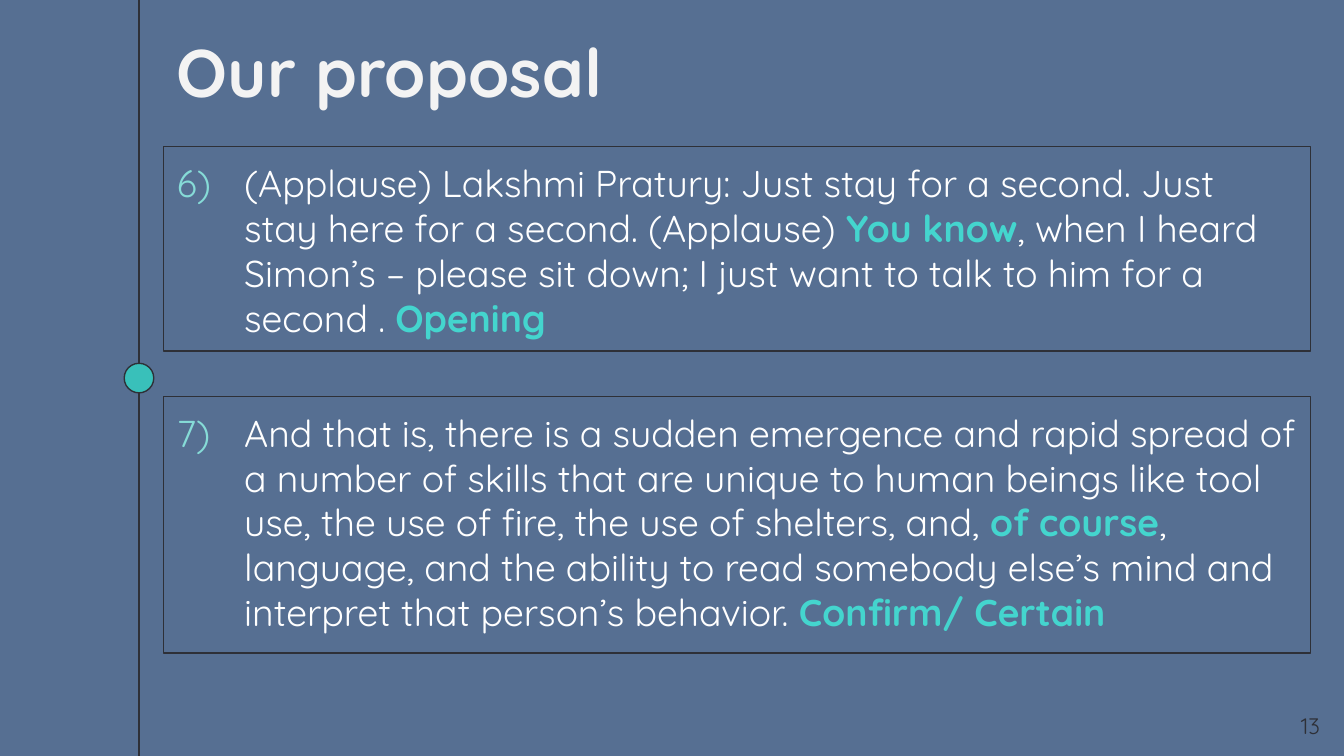
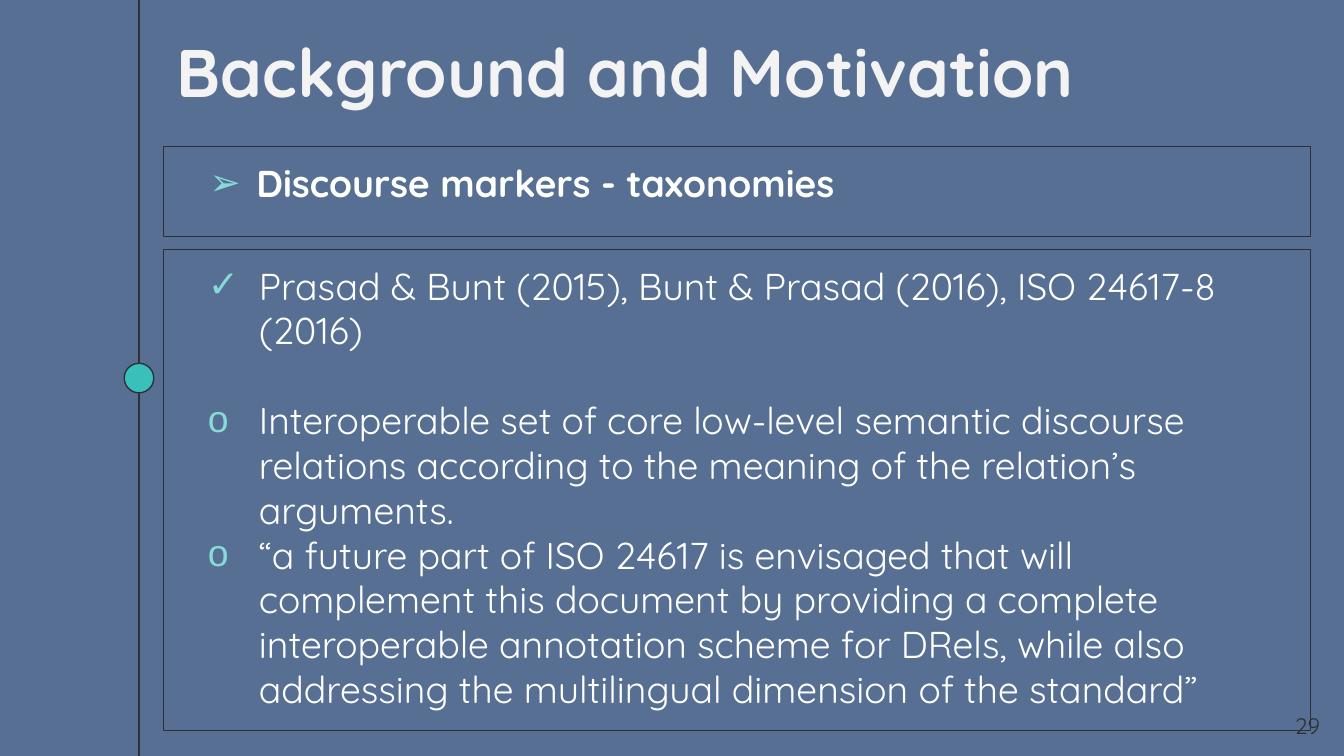
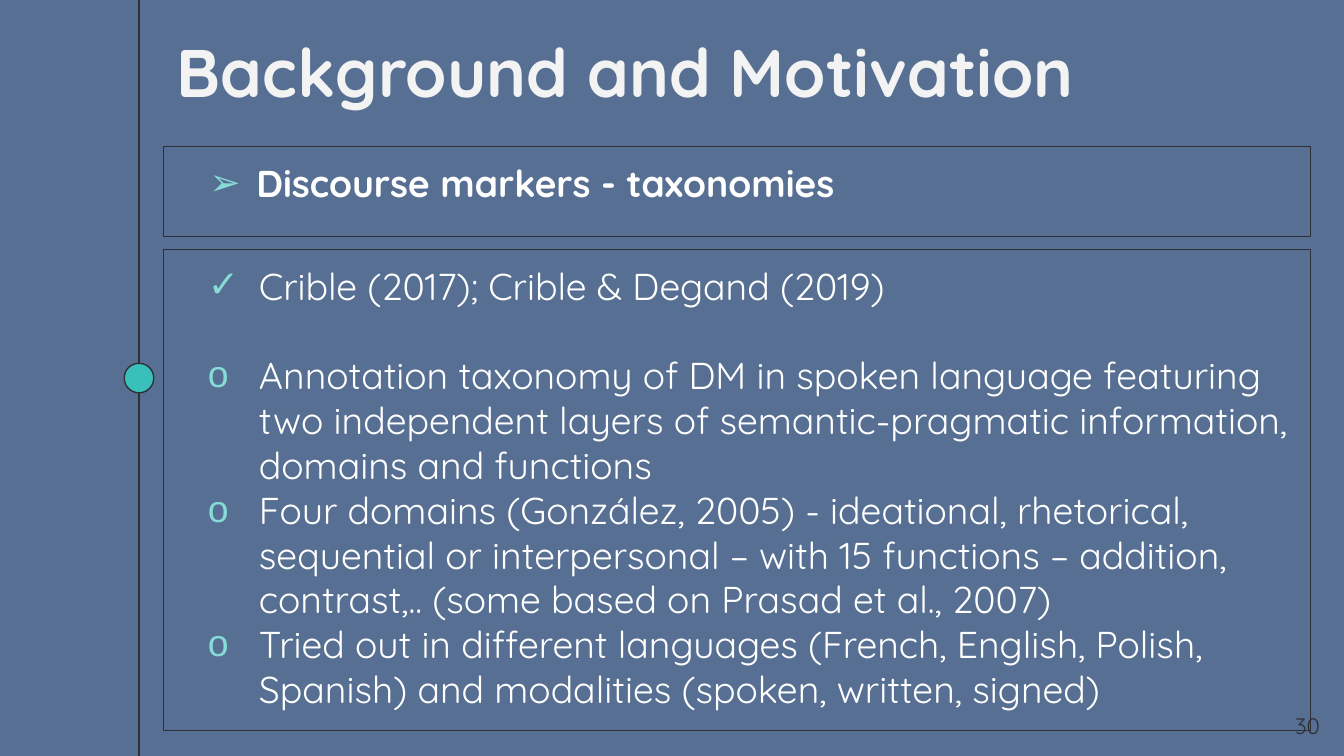
from dataclasses import dataclass
from lxml import etree
from pptx import Presentation
from pptx.dml.color import RGBColor
from pptx.enum.shapes import MSO_CONNECTOR, MSO_SHAPE
from pptx.enum.text import MSO_ANCHOR, MSO_AUTO_SIZE, PP_ALIGN
from pptx.oxml.ns import qn
from pptx.util import Inches, Pt

LINE, OVAL = MSO_CONNECTOR.STRAIGHT, MSO_SHAPE.OVAL
TOP, MIDDLE = MSO_ANCHOR.TOP, MSO_ANCHOR.MIDDLE
LEFT, RIGHT = PP_ALIGN.LEFT, PP_ALIGN.RIGHT
NOFIT = MSO_AUTO_SIZE.NONE

FONT = "Quicksand"
BACK, INK, DOT = "566F92", "2E3037", "39C0BA"
WHITE, PALE, MINT, AQUA = "FFFFFF", "F3F3F3", "86DBD7", "44D5CE"
COLS, ROWS = 100, 56.25
CELL = Inches(10) / COLS
EDGE = 12.17
TWO_LISTS = 3


@dataclass(frozen=True)
class Area:
    col: float
    row: float
    wide: float
    high: float

    def box(self) -> tuple:
        return tuple(round(n * CELL) for n in (self.col, self.row, self.wide, self.high))


@dataclass(frozen=True)
class Item:
    text: str
    mark: str | int
    hang: float = 3.8
    edge: float = 6.1
    level: int = 0
    bold: bool = False
    gap: int = 0


@dataclass(frozen=True)
class Panel:
    row: float
    high: float
    items: tuple


@dataclass(frozen=True)
class Page:
    title: str
    number: int
    panels: tuple


def tint(code: str) -> RGBColor:
    return RGBColor.from_string(code)


def style(para, size: int, code: str, bold: bool = False, align=LEFT) -> None:
    para.alignment = align
    font = para.font
    font.name, font.size, font.bold = FONT, Pt(size), bold
    font.color.rgb = tint(code)


def trim(shape) -> None:
    shape.line.color.rgb = tint(INK)
    shape.line.width = Pt(0.75)


def place(shape, area: Area, anchor=TOP):
    shape.left, shape.top, shape.width, shape.height = area.box()
    frame = shape.text_frame
    frame.word_wrap = True
    frame.auto_size = NOFIT
    frame.vertical_anchor = anchor
    frame.margin_left = frame.margin_right = Inches(0.1)
    frame.margin_top = frame.margin_bottom = Inches(0.1)
    return frame


def bullet(para, item: Item) -> None:
    props = para._p.get_or_add_pPr()
    props.set("marL", str(round(item.edge * CELL)))
    props.set("indent", str(round(-item.hang * CELL)))
    color = etree.SubElement(props, qn("a:buClr"))
    etree.SubElement(color, qn("a:srgbClr"), val=MINT)
    if isinstance(item.mark, int):
        etree.SubElement(props, qn("a:buAutoNum"), type="arabicParenR", startAt=str(item.mark))
    else:
        etree.SubElement(props, qn("a:buChar"), char=item.mark)


def write(para, item: Item) -> None:
    para.level = item.level
    bullet(para, item)
    para.space_before, para.space_after = Pt(0), Pt(item.gap)
    style(para, 20, WHITE, item.bold)
    for spot, part in enumerate(item.text.split("*")):
        if part:
            run = para.add_run()
            run.text = part
            if spot % 2:
                run.font.bold = True
                run.font.color.rgb = tint(AQUA)


def fill(shape, panel: Panel) -> None:
    frame = place(shape, Area(EDGE, panel.row, 85.33, panel.high))
    trim(shape)
    for spot, item in enumerate(panel.items):
        write(frame.add_paragraph() if spot else frame.paragraphs[0], item)


def rail(slide) -> None:
    mid = round(10.34 * CELL)
    spine = slide.shapes.add_connector(LINE, mid, 0, mid, round(ROWS * CELL))
    trim(spine)
    etree.SubElement(spine._element.spPr, qn("a:effectLst"))
    dot = slide.shapes.add_shape(OVAL, *Area(9.24, 27.03, 2.2, 2.2).box())
    dot.shadow.inherit = False
    dot.fill.solid()
    dot.fill.fore_color.rgb = tint(DOT)
    trim(dot)


def label(shape, area: Area, text: str, size: int, code: str,
          bold: bool = False, align=LEFT, anchor=TOP, lead: int = 0) -> None:
    para = place(shape, area, anchor).paragraphs[0]
    para.text = text
    para.space_before = Pt(lead)
    style(para, size, code, bold, align)


def draw(deck, page: Page) -> None:
    slide = deck.slides.add_slide(deck.slide_layouts[TWO_LISTS])
    rail(slide)
    label(slide.shapes.title, Area(EDGE, 1.9, 73, 6.7), page.title, 36, PALE,
          bold=True, anchor=MIDDLE, lead=6)
    for spot, panel in enumerate(page.panels, 1):
        fill(slide.placeholders[spot], panel)
    area = Area(93.2, 52, 6, 3.4)
    label(slide.shapes.add_textbox(*area.box()), area, str(page.number), 12, INK, align=RIGHT)


def quote(row: float, high: float, start: int, text: str) -> Panel:
    return Panel(row, high, (Item(text, start, 5, 5),))


def survey(number: int, source: str, *points: str) -> Page:
    topic = Item("Discourse markers - taxonomies", "➢", 3.5, 5.9, bold=True)
    notes = tuple(Item(point, "o", level=1) for point in points)
    return Page("Background and Motivation", number, (
        Panel(10.92, 6.7, (topic,)),
        Panel(18.55, 35.8, (Item(source, "✓", gap=24), *notes)),
    ))


PAGES = (
    Page("Our proposal", 13, (
        quote(10.92, 15.2, 6,
              "(Applause) Lakshmi Pratury: Just stay for a second. Just stay here for a second. "
              "(Applause) *You know*, when I heard Simon’s – please sit down; I just want to talk "
              "to him for a second . *Opening*"),
        quote(29.5, 19.08, 7,
              "And that is, there is a sudden emergence and rapid spread of a number of skills "
              "that are unique to human beings like tool use, the use of fire, the use of "
              "shelters, and, *of course*, language, and the ability to read somebody else’s "
              "mind and interpret that person’s behavior. *Confirm/ Certain*"),
    )),
    survey(29, "Prasad & Bunt (2015), Bunt & Prasad (2016), ISO 24617-8 (2016)",
           "Interoperable set of core low-level semantic discourse relations according to the "
           "meaning of the relation’s arguments.",
           "“a future part of ISO 24617 is envisaged that will complement this document by "
           "providing a complete interoperable annotation scheme for DRels, while also "
           "addressing the multilingual dimension of the standard”"),
    survey(30, "Crible (2017); Crible & Degand (2019)",
           "Annotation taxonomy of DM in spoken language featuring two independent layers of "
           "semantic-pragmatic information, domains and functions",
           "Four domains (González, 2005) - ideational, rhetorical, sequential or interpersonal "
           "– with 15 functions – addition, contrast,.. (some based on Prasad et al., 2007)",
           "Tried out in different languages (French, English, Polish, Spanish) and modalities "
           "(spoken, written, signed)"),
)


def main() -> None:
    deck = Presentation()
    deck.slide_width, deck.slide_height = round(COLS * CELL), round(ROWS * CELL)
    ground = deck.slide_master.background.fill
    ground.solid()
    ground.fore_color.rgb = tint(BACK)
    for page in PAGES:
        draw(deck, page)
    deck.save("out.pptx")


if __name__ == "__main__":
    main()
